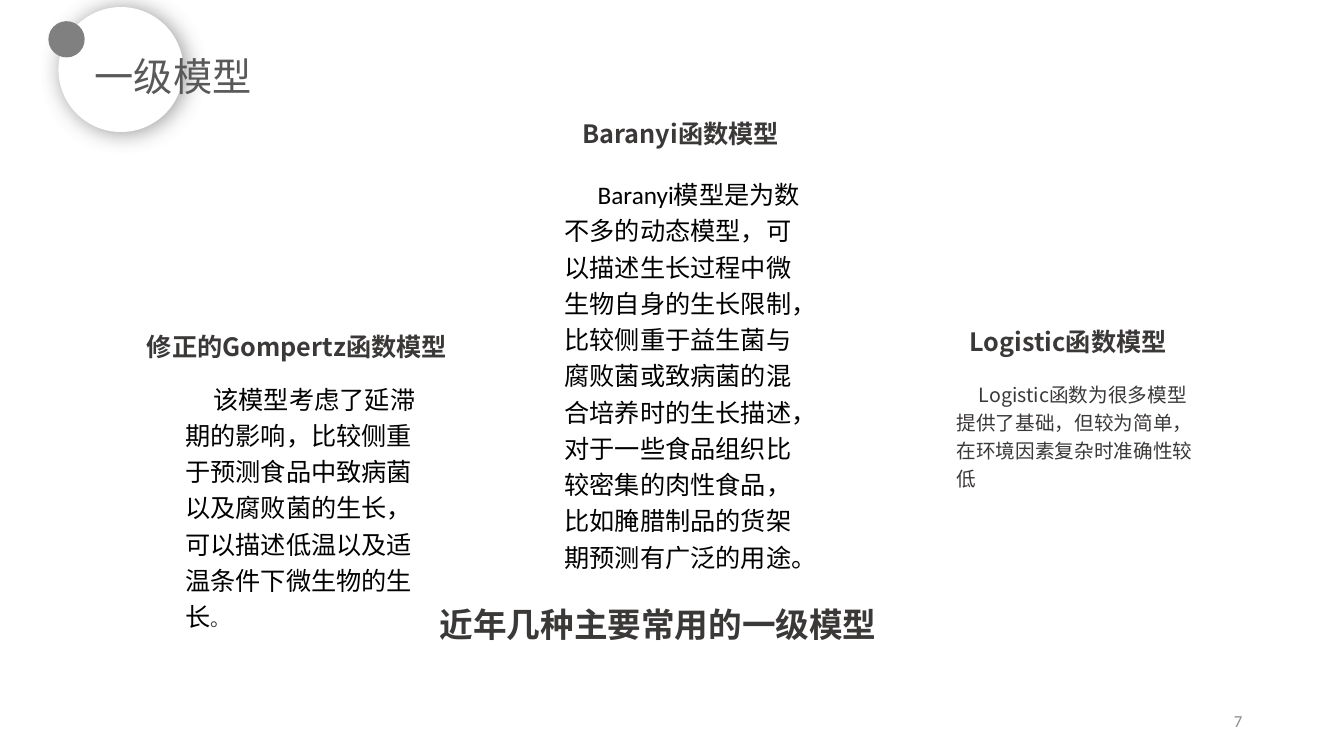
from lxml import etree
from pptx import Presentation
from pptx.dml.color import RGBColor
from pptx.enum.lang import MSO_LANGUAGE_ID
from pptx.enum.shapes import MSO_SHAPE
from pptx.enum.text import MSO_ANCHOR, MSO_AUTO_SIZE, PP_ALIGN
from pptx.oxml.ns import qn
from pptx.util import Pt

PX = 9144  # 100 px to the inch
OVAL = MSO_SHAPE.OVAL
TOP, MIDDLE = MSO_ANCHOR.TOP, MSO_ANCHOR.MIDDLE
LEFT, RIGHT = PP_ALIGN.LEFT, PP_ALIGN.RIGHT
GROW = MSO_AUTO_SIZE.SHAPE_TO_FIT_TEXT
CHINESE = MSO_LANGUAGE_ID.SIMPLIFIED_CHINESE
NOTO, CALIBRI, COURIER = "Noto Sans CJK SC", "Calibri", "Courier New"
DARK, BLACK, GREY = "3B3838", "000000", "808080"


def color(value):
    return RGBColor.from_string(value)


def px(*values):
    return [round(v * PX) for v in values]


class Deck:
    def __init__(self, width, height):
        self.prs = Presentation()
        self.prs.slide_width, self.prs.slide_height = px(width, height)
        self.s = None

    def add_slide(self):
        self.s = self.prs.slides.add_slide(self.prs.slide_layouts[5])

    def circle(self, x, y, size, fill, shadow=False):
        sp = self.s.shapes.add_shape(OVAL, *px(x, y, size, size))
        sp.rotation = 28.5
        sp.shadow.inherit = False
        sp.fill.solid()
        sp.fill.fore_color.rgb = color(fill)
        sp.line.fill.background()
        if shadow:
            effects = sp._element.spPr.find(qn("a:effectLst"))
            outer = etree.SubElement(effects, qn("a:outerShdw"), blurRad=str(Pt(16)),
                                     dist=str(Pt(2)), dir=str(30 * 60000), rotWithShape="0")
            clr = etree.SubElement(outer, qn("a:srgbClr"), val=GREY)
            etree.SubElement(clr, qn("a:alpha"), val="80000")

    def fill_text(self, sp, runs, anchor=TOP, align=LEFT, inset=None, spacing=None, indent=0):
        """Each run is (text, size, font, colour, bold)."""
        tf = sp.text_frame
        tf.word_wrap, tf.auto_size, tf.vertical_anchor = True, GROW, anchor
        if inset is not None:
            tf.margin_left = tf.margin_right = tf.margin_top = tf.margin_bottom = inset
        p = tf.paragraphs[0]
        p.alignment = align
        if spacing:
            p.line_spacing = spacing
        if indent:
            p._p.get_or_add_pPr().set("indent", str(indent * PX))
        for text, size, font, fill, bold in runs:
            r = p.add_run()
            r.text = text
            r.font.size, r.font.name, r.font.bold = Pt(size), font, bold
            r.font.color.rgb = color(fill)
            r.font.language_id = CHINESE
            etree.SubElement(r.font._element, qn("a:ea"), typeface=NOTO)

    def text(self, box, runs, **style):
        self.fill_text(self.s.shapes.add_textbox(*px(*box)), runs, **style)

    def title(self, box, runs, **style):
        sp = self.s.shapes.title
        sp.left, sp.top, sp.width, sp.height = px(*box)
        self.fill_text(sp, runs, **style)
        self.s.shapes._spTree.append(sp._element)  # in front of the circles

    def model(self, head_box, heading, body_box, indent, runs):
        self.text(body_box, runs, spacing=1.2, indent=indent)
        self.text(head_box, [(heading, 18, NOTO, DARK, True)])


def main():
    deck = Deck(1333, 750)
    deck.add_slide()

    # Title with its circles
    deck.circle(58, 7, 124, "FFFFFF", shadow=True)
    deck.circle(48, 21, 36, GREY)
    deck.title((94, 52, 311, 47), [("一级模型", 28, COURIER, "595959", False)],
               anchor=MIDDLE, inset=0)

    # Three models
    deck.model((136, 324, 353, 40), "修正的Gompertz函数模型", (174, 370, 260, 265), 28, [
        ("该模型考虑了延滞期的影响，比较侧重于预测食品中致病菌以及腐败菌的生长，"
         "可以描述低温以及适温条件下微生物的生长", 18, CALIBRI, BLACK, False),
        ("。", 14, NOTO, DARK, False)])
    deck.model((568, 112, 225, 40), "Baranyi函数模型", (550, 167, 262, 407), 33, [
        ("Baranyi模型是为数不多的动态模型，可以描述生长过程中微生物自身的生长限制，"
         "比较侧重于益生菌与腐败菌或致病菌的混合培养时的生长描述，"
         "对于一些食品组织比较密集的肉性食品，比如腌腊制品的货架期预测有广泛的用途。",
         18, CALIBRI, BLACK, False)])
    deck.model((952, 319, 235, 40), "Logistic函数模型", (939, 370, 260, 123), 22, [
        ("Logistic函数为很多模型提供了基础，但较为简单，在环境因素复杂时准确性较低",
         14, NOTO, DARK, False)])

    # Summary line and page number
    deck.text((436, 599, 459, 40), [("近年几种主要常用的一级模型", 24, COURIER, DARK, True)],
              anchor=MIDDLE, inset=0)
    deck.text((942, 695, 300, 40), [("7", 12, CALIBRI, "8C8C8C", False)],
              anchor=MIDDLE, align=RIGHT)

    deck.prs.save("out.pptx")


if __name__ == "__main__":
    main()
